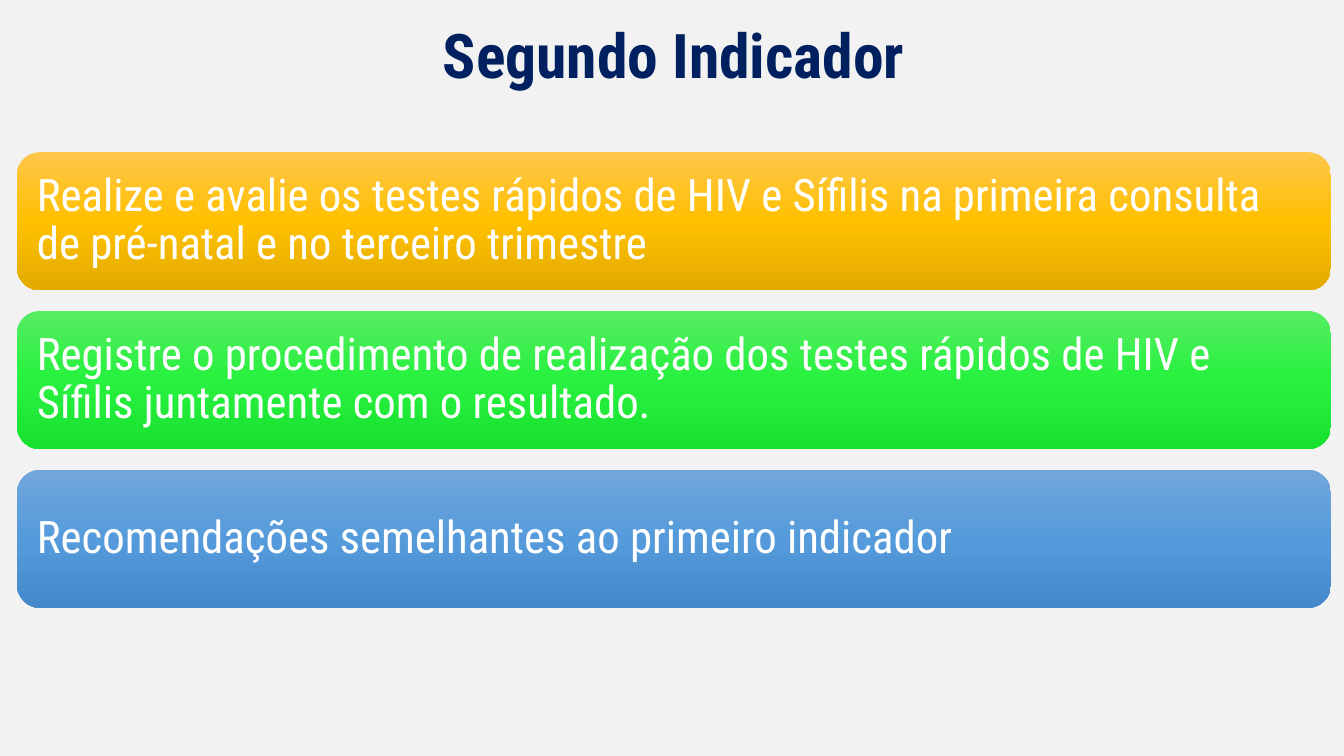
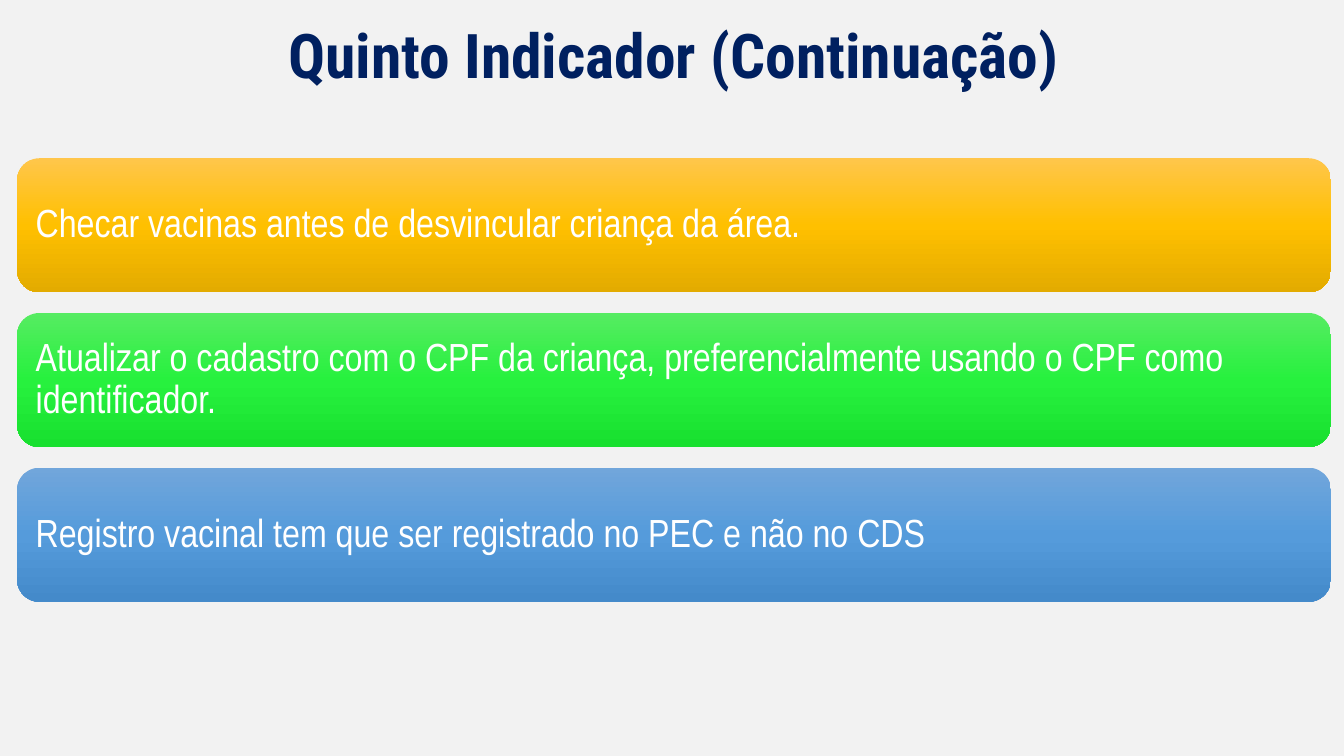
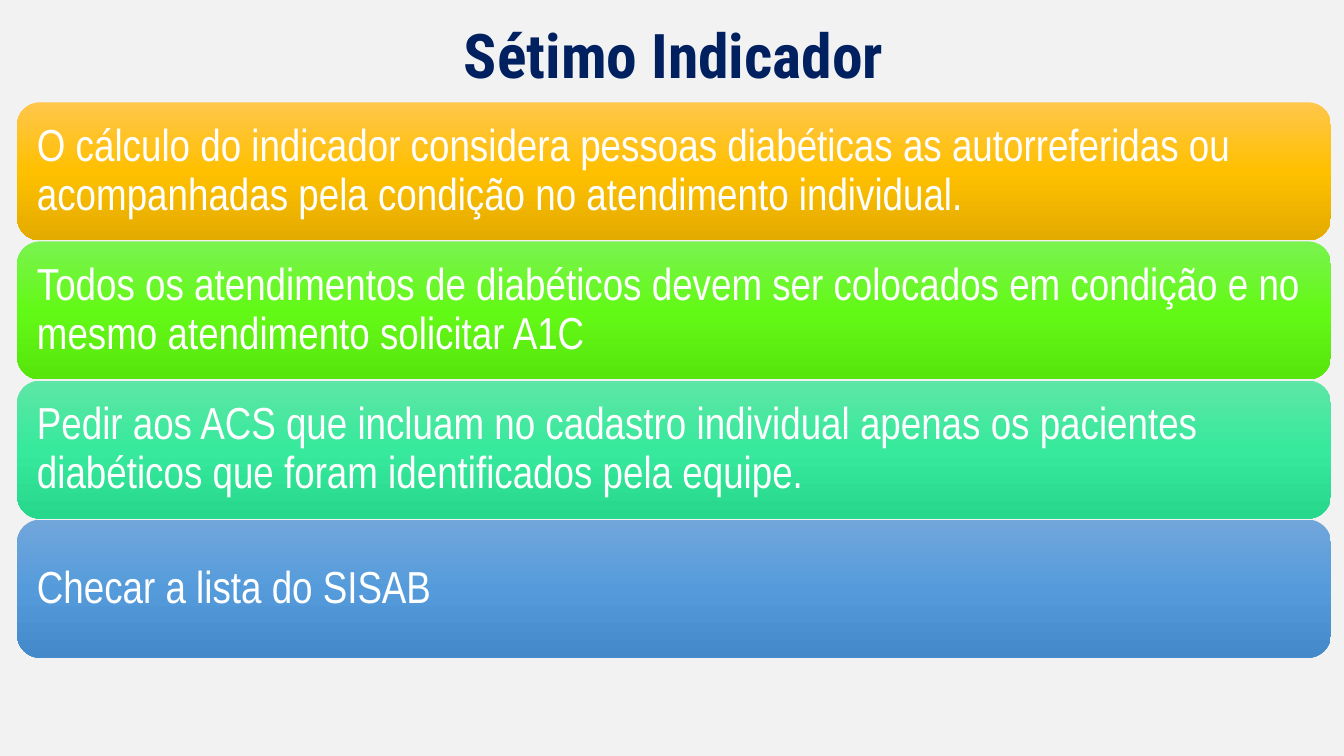
"""Build three indicator slides, each a title over evenly stacked gradient bands."""
from copy import deepcopy

from pptx import Presentation
from pptx.dml.color import RGBColor
from pptx.enum.shapes import MSO_SHAPE as Shape
from pptx.enum.text import MSO_ANCHOR as Anchor, MSO_AUTO_SIZE as AutoSize, PP_ALIGN as Align
from pptx.oxml.ns import qn
from pptx.util import Inches, Pt

WIDTH, HEIGHT = 13.33, 7.5
LEFT, CONTENT_WIDTH = 0.17, 13.03
TITLE_TOP, TITLE_HEIGHT = 0.15, 0.86
STACK_CENTER = 3.77
ROBOTO, NARROW = "Roboto Condensed", "Arial Narrow"

COLORS = {"background": "F2F2F2", "title": "002060", "band_text": "FFFFFF"}
GRADIENTS = {
    "amber": ("FFC64B", "FFC000", "E3AB00"),
    "green": ("56EC62", "27F13E", "18E02F"),
    "lime": ("7AF350", "63F916", "56E50C"),
    "mint": ("5EE6A6", "37E99C", "27D88C"),
    "blue": ("71A6DB", "559BDB", "448ACA"),
}

INDICATORS = [
    {"title": "Segundo Indicador", "font": ROBOTO, "size": 32,
     "stack": 4.52, "band": 1.37, "inset": 0.13,
     "advice": [
         ("amber", "Realize e avalie os testes rápidos de HIV e Sífilis na primeira consulta "
                   "de pré-natal e no terceiro trimestre"),
         ("green", "Registre o procedimento de realização dos testes rápidos de HIV e Sífilis "
                   "juntamente com o resultado."),
         ("blue", "Recomendações semelhantes ao primeiro indicador")]},
    {"title": "Quinto Indicador (Continuação)", "font": NARROW, "size": 28,
     "stack": 4.4, "band": 1.33, "inset": 0.12,
     "advice": [
         ("amber", "Checar vacinas antes de desvincular criança da área."),
         ("green", "Atualizar o cadastro com o CPF da criança, preferencialmente usando o CPF "
                   "como identificador."),
         ("blue", "Registro vacinal tem que ser registrado no PEC e não no CDS")]},
    {"title": "Sétimo Indicador", "font": NARROW, "size": 32,
     "stack": 5.51, "band": 1.37, "inset": 0.13,
     "advice": [
         ("amber", "O cálculo do indicador considera pessoas diabéticas as autorreferidas ou "
                   "acompanhadas pela condição no atendimento individual."),
         ("lime", "Todos os atendimentos de diabéticos devem ser colocados em condição e no "
                  "mesmo atendimento solicitar A1C"),
         ("mint", "Pedir aos ACS que incluam no cadastro individual apenas os pacientes "
                  "diabéticos que foram identificados pela equipe."),
         ("blue", "Checar a lista do SISAB")]},
]


def write(shape, text, *, font, size, color, bold=False, align=Align.LEFT, inset=0.1):
    """Fill a shape with one formatted paragraph, centred vertically."""
    frame = shape.text_frame
    frame.text = text
    frame.word_wrap = True
    frame.auto_size = AutoSize.NONE
    frame.vertical_anchor = Anchor.MIDDLE
    frame.margin_left = frame.margin_right = Inches(inset)
    frame.margin_top = frame.margin_bottom = Inches(inset)
    paragraph = frame.paragraphs[0]
    paragraph.alignment = align
    paragraph.line_spacing = 0.9
    paragraph.font.name = font
    paragraph.font.size = Pt(size)
    paragraph.font.bold = bold
    paragraph.font.color.rgb = RGBColor.from_string(color)


def add_band(slide, top, height, gradient):
    """Add a rounded band with a three-stop gradient running downwards."""
    band = slide.shapes.add_shape(Shape.ROUNDED_RECTANGLE, Inches(LEFT), Inches(top),
                                  Inches(CONTENT_WIDTH), Inches(height))
    band.shadow.inherit = False
    band.line.fill.background()
    band.fill.gradient()
    band.fill.gradient_angle = 270
    stop_list = next(band.element.spPr.iter(qn("a:gsLst")))
    stop_list.append(deepcopy(stop_list[-1]))
    for stop, color, position in zip(band.fill.gradient_stops, gradient, (0, 0.5, 1)):
        stop.color.rgb = RGBColor.from_string(color)
        stop.position = position
    return band


def add_indicator(prs, layout, indicator):
    """Add one slide with its title and its stack of advice bands."""
    slide = prs.slides.add_slide(layout)
    write(slide.shapes.title, indicator["title"], font=ROBOTO, size=44,
          color=COLORS["title"], bold=True, align=Align.CENTER)
    stack, height, advice = indicator["stack"], indicator["band"], indicator["advice"]
    pitch = (stack - height) / (len(advice) - 1)
    for row, (hue, text) in enumerate(advice):
        top = STACK_CENTER - stack / 2 + row * pitch
        band = add_band(slide, top, height, GRADIENTS[hue])
        write(band, text, font=indicator["font"], size=indicator["size"],
              color=COLORS["band_text"], inset=indicator["inset"])


def main():
    """Set up the shared look, add the slides and save."""
    prs = Presentation()
    prs.slide_width, prs.slide_height = Inches(WIDTH), Inches(HEIGHT)
    background = prs.slide_master.background.fill
    background.solid()
    background.fore_color.rgb = RGBColor.from_string(COLORS["background"])
    layout = prs.slide_layouts.get_by_name("Title Only")
    title = layout.placeholders[0]
    title.left, title.top = Inches(LEFT), Inches(TITLE_TOP)
    title.width, title.height = Inches(CONTENT_WIDTH), Inches(TITLE_HEIGHT)
    for indicator in INDICATORS:
        add_indicator(prs, layout, indicator)
    prs.save("out.pptx")


if __name__ == "__main__":
    main()
